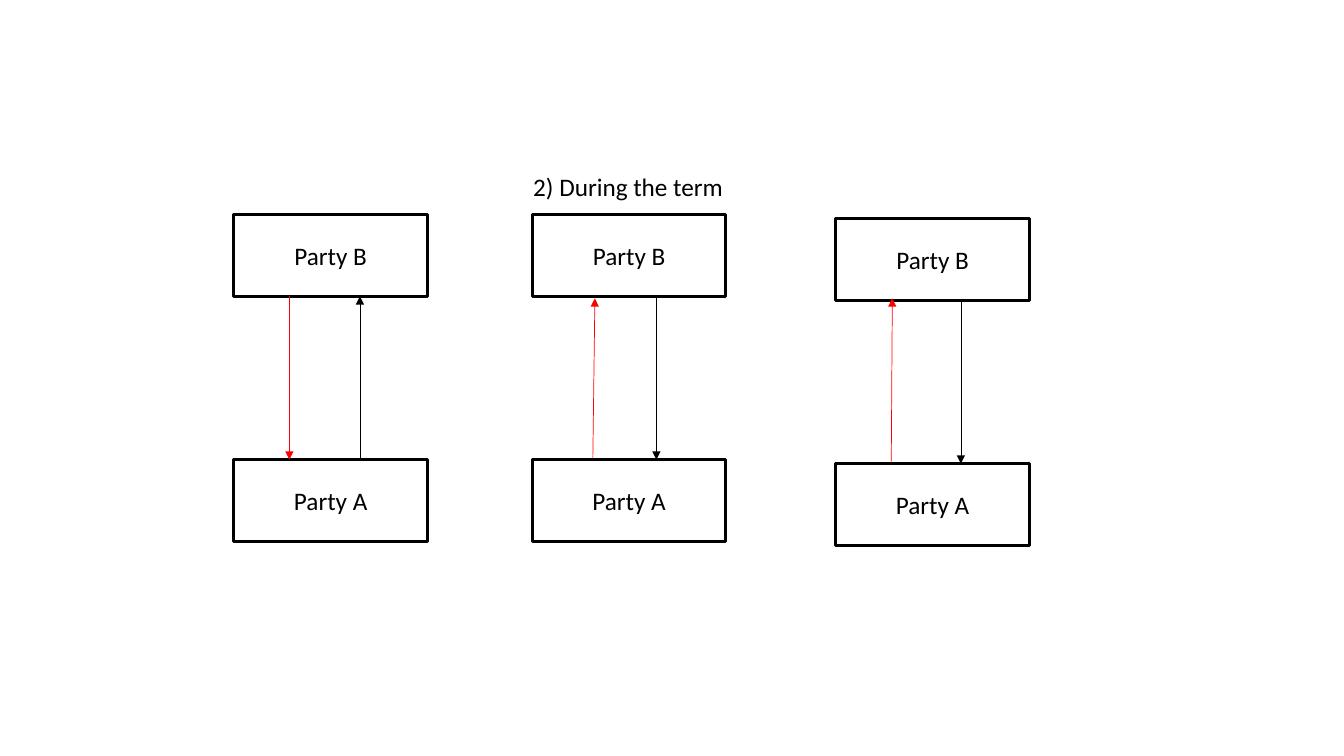
from lxml import etree
from pptx import Presentation
from pptx import util as u
from pptx.dml.color import RGBColor
from pptx.enum import shapes, text
from pptx.oxml.ns import qn

PX = 9144  # EMU per px, 100 px to the inch
COLORS = {"ink": "000000", "paid": "FF0000"}
BOX_W, BOX_H, PARTY_GAP = 192, 81, 243


class SwapSlide:
    font, size = "Calibri", 18

    def __init__(self, width, height):
        self.deck = Presentation()
        self.deck.slide_width, self.deck.slide_height = width * PX, height * PX
        self.slide = self.deck.slides.add_slide(self.deck.slide_layouts[6])

    def add_words(self, frame, words, align):
        paragraph = frame.paragraphs[0]
        paragraph.alignment = align
        run = paragraph.add_run()
        run.text = words
        run.font.name, run.font.size = self.font, u.Pt(self.size)
        run.font.color.rgb = RGBColor.from_string(COLORS["ink"])

    def party(self, name, left, top):
        box = self.slide.shapes.add_shape(
            shapes.MSO_SHAPE.RECTANGLE, left * PX, top * PX, BOX_W * PX, BOX_H * PX)
        box.shadow.inherit = False
        box.fill.background()
        box.line.color.rgb = RGBColor.from_string(COLORS["ink"])
        box.line.width = u.Pt(2.25)
        box.text_frame.vertical_anchor = text.MSO_ANCHOR.MIDDLE
        self.add_words(box.text_frame, name, text.PP_ALIGN.CENTER)

    def label(self, words, left, top, width, height):
        box = self.slide.shapes.add_textbox(left * PX, top * PX, width * PX, height * PX)
        box.text_frame.word_wrap = False
        box.text_frame.auto_size = text.MSO_AUTO_SIZE.SHAPE_TO_FIT_TEXT
        self.add_words(box.text_frame, words, text.PP_ALIGN.LEFT)

    def flow(self, color, x1, y1, x2, y2):
        arrow = self.slide.shapes.add_connector(
            shapes.MSO_CONNECTOR.STRAIGHT, x1 * PX, y1 * PX, x2 * PX, y2 * PX)
        arrow.line.color.rgb = RGBColor.from_string(COLORS[color])
        arrow.line.width = u.Pt(0.5)
        properties = arrow._element.spPr
        etree.SubElement(properties.find(qn("a:ln")), qn("a:tailEnd"), type="triangle")
        etree.SubElement(properties, qn("a:effectLst"))


def main():
    swap = SwapSlide(1333, 750)

    # Stages: left and top of Party B, then flows as offsets from that corner
    stages = [
        (232, 213, [("paid", 55, 81, 55, 243), ("ink", 125, 243, 125, 81)]),
        (528, 213, [("paid", 60, 241, 62, 83), ("ink", 123, 80, 123, 243)]),
        (829, 217, [("paid", 55, 241, 56, 79), ("ink", 124, 81, 124, 243)]),
    ]
    for left, top, flows in stages:
        swap.party("Party B", left, top)
        swap.party("Party A", left, top + PARTY_GAP)
        for color, x1, y1, x2, y2 in flows:
            swap.flow(color, left + x1, top + y1, left + x2, top + y2)

    # Heading of the middle stage
    swap.label("2) During the term", 519, 165, 211, 40)

    swap.deck.save("out.pptx")


if __name__ == "__main__":
    main()
